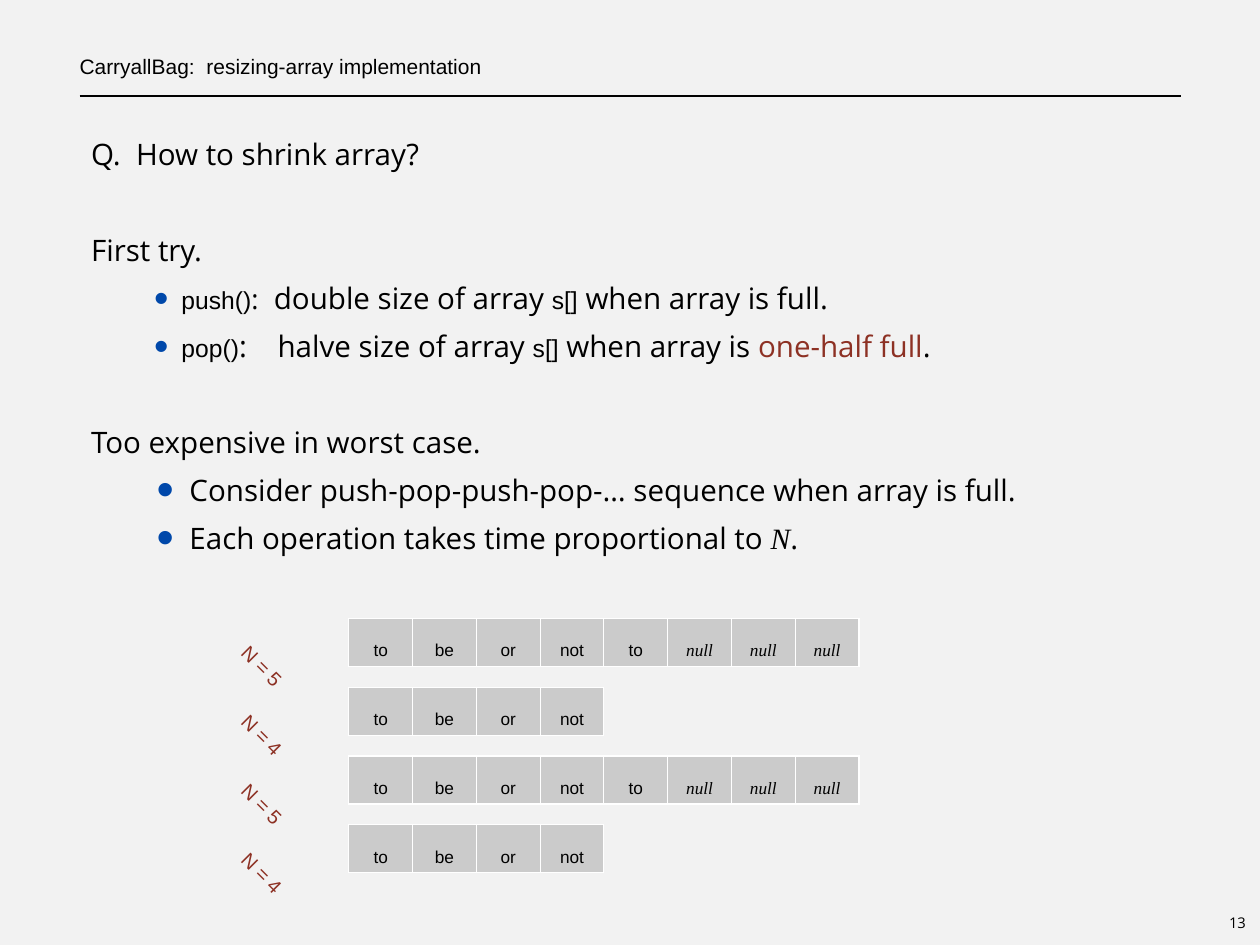
from dataclasses import dataclass

from lxml import etree
from pptx import Presentation
from pptx.dml.color import RGBColor
from pptx.enum.shapes import MSO_CONNECTOR
from pptx.enum.text import MSO_ANCHOR, PP_ALIGN
from pptx.oxml.ns import qn
from pptx.util import Inches, Pt

LEFT, CENTER = PP_ALIGN.LEFT, PP_ALIGN.CENTER
TOP, MIDDLE, BOTTOM = MSO_ANCHOR.TOP, MSO_ANCHOR.MIDDLE, MSO_ANCHOR.BOTTOM
STRAIGHT = MSO_CONNECTOR.STRAIGHT

WIDTH, HEIGHT = 14.22, 10.67
COLUMNS, ROWS = 16, 12


@dataclass(frozen=True)
class Theme:
    background: str = "F2F2F2"
    ink: str = "000000"
    accent: str = "8D3124"
    bullet: str = "0048AA"
    cell: str = "CBCBCB"
    border: str = "FFFFFF"
    sans: str = "Open Sans"
    plain: str = "Arial"
    serif: str = "Times New Roman"
    body_line: int = 39
    cell_line: int = 30


THEME = Theme()

# style name: font, size, colour, italic
STYLES = {
    "title": (THEME.plain, 17, THEME.ink, False),
    "body": (THEME.sans, 24, THEME.ink, False),
    "colon": (THEME.sans, 22, THEME.ink, False),
    "code": (THEME.plain, 20, THEME.ink, False),
    "stress": (THEME.sans, 24, THEME.accent, False),
    "math": (THEME.serif, 24, THEME.ink, True),
    "word": (THEME.plain, 14, THEME.ink, False),
    "null": (THEME.serif, 14, THEME.ink, True),
    "count": (THEME.plain, 16, THEME.accent, False),
    "page": (THEME.sans, 12, THEME.ink, False),
}

# paragraph kind: left margin and first-line indent in inches
INDENTS = {"text": (0, 0.14), "call": (1.16, -0.31), "point": (1.25, -0.37)}

# kind, blank line before, runs of (text, style, extra letter spacing)
BODY = [
    ("text", False, [("Q.", "body"), (" ", "body", 6.2),
                     ("How to shrink array?", "body")]),
    ("text", True, [("First try.", "body")]),
    ("call", False, [("push()", "code"), (":", "colon"), (" ", "body", 6.2),
                     ("double size of array ", "body"), ("s[]", "code"),
                     (" when array is full.", "body")]),
    ("call", False, [("pop()", "code"), (":", "body"), (" ", "body", 18.7),
                     ("halve size of array ", "body"), ("s[]", "code"),
                     (" when array is ", "body"), ("one-half full", "stress"),
                     (".", "body")]),
    ("text", True, [("Too expensive in worst case.", "body")]),
    ("point", False, [("Consider push-pop-push-pop-… sequence when array is full.",
                       "body")]),
    ("point", False, [("Each operation takes time proportional to ", "body"),
                      ("N", "math"), (".", "body")]),
]

SMALL_ARRAY = ["to", "be", "or", "not"]
LARGE_ARRAY = SMALL_ARRAY + ["to"] + ["null"] * 3
STATES = [(5, LARGE_ARRAY), (4, SMALL_ARRAY)] * 2


def col(n):
    return Inches(WIDTH * n / COLUMNS)


def row(n):
    return Inches(HEIGHT * n / ROWS)


def box(x, y, w, h):
    return col(x), row(y), col(w), row(h)


def rgb(value):
    return RGBColor.from_string(value)


def add_run(p, text, style, spacing=0):
    """Add a styled run; spacing is extra letter spacing in points."""
    r = p.add_run()
    r.text = text
    name, size, color, italic = STYLES[style]
    for key, value in {"name": name, "size": Pt(size), "italic": italic}.items():
        setattr(r.font, key, value)
    r.font.color.rgb = rgb(color)
    if spacing:
        r._r.get_or_add_rPr().set("spc", str(round(spacing * 100)))


def add_text(s, area, anchor=TOP, wrap=True):
    """Add an empty text box without margins and return it."""
    sp = s.shapes.add_textbox(*area)
    formats = {"margin_left": 0, "margin_right": 0, "margin_top": 0,
               "margin_bottom": 0, "vertical_anchor": anchor, "word_wrap": wrap}
    for key, value in formats.items():
        setattr(sp.text_frame, key, value)
    return sp


def add_label(s, area, runs, align=LEFT, anchor=MIDDLE, wrap=False, line=1.0):
    sp = add_text(s, area, anchor, wrap)
    p = sp.text_frame.paragraphs[0]
    p.alignment = align
    p.line_spacing = line
    for run in runs:
        add_run(p, *run)
    return sp


def indent(p, kind):
    """Set the indents of a paragraph, and its dot unless it is plain text."""
    pPr = p._p.get_or_add_pPr()
    for key, value in zip(("marL", "indent"), INDENTS[kind]):
        pPr.set(key, str(Inches(value)))
    if kind == "text":
        etree.SubElement(pPr, qn("a:buNone"))
        return
    p.level = 1
    color = etree.SubElement(pPr, qn("a:buClr"))
    etree.SubElement(color, qn("a:srgbClr"), val=THEME.bullet)
    etree.SubElement(pPr, qn("a:buSzPct"), val="167000")
    etree.SubElement(pPr, qn("a:buFont"), typeface=THEME.plain)
    etree.SubElement(pPr, qn("a:buChar"), char="•")


def add_body(s):
    tf = add_text(s, box(1, 1.57, 14, 10)).text_frame
    for i, (kind, blank_before, runs) in enumerate(BODY):
        p = tf.add_paragraph() if i else tf.paragraphs[0]
        indent(p, kind)
        p.line_spacing = Pt(THEME.body_line)
        p.space_before = Pt(THEME.body_line if blank_before else 0)
        for run in runs:
            add_run(p, *run)


def add_rule(s):
    line = s.shapes.add_connector(STRAIGHT, col(1.01), row(1.22), col(15), row(1.22))
    line.line.color.rgb = rgb(THEME.ink)
    line.line.width = Pt(1)
    etree.SubElement(line._element.spPr, qn("a:effectLst"))


def add_borders(cell):
    tcPr = cell._tc.get_or_add_tcPr()
    for i, side in enumerate(("lnL", "lnR", "lnB")):
        ln = etree.Element(qn(f"a:{side}"), w=str(Pt(1)))
        fill = etree.SubElement(ln, qn("a:solidFill"))
        etree.SubElement(fill, qn("a:srgbClr"), val=THEME.border)
        tcPr.insert(i, ln)


def add_array(s, x, y, items, cell_w=0.81, cell_h=0.61):
    area = box(x, y, cell_w * len(items), cell_h)
    table = s.shapes.add_table(1, len(items), *area).table
    table.first_row = table.horz_banding = False
    margins = {f"margin_{side}": Inches(0.06)
               for side in ("left", "right", "top", "bottom")}
    for column, cell, item in zip(table.columns, table.rows[0].cells, items):
        column.width = col(cell_w)
        for key, value in {**margins, "vertical_anchor": MIDDLE}.items():
            setattr(cell, key, value)
        cell.fill.solid()
        cell.fill.fore_color.rgb = rgb(THEME.cell)
        add_borders(cell)
        p = cell.text_frame.paragraphs[0]
        p.alignment = CENTER
        p.line_spacing = Pt(THEME.cell_line)
        add_run(p, item, "null" if item == "null" else "word")


def add_state(s, y, count, items):
    """Add one array with its slanted element count."""
    add_array(s, 4.43, y, items)
    label = add_label(s, box(2.83, y + 0.36, 1, 0.5),
                      [(f"N = {count}", "count")], CENTER)
    label.rotation = 45


def main():
    prs = Presentation()
    prs.slide_width, prs.slide_height = Inches(WIDTH), Inches(HEIGHT)
    s = prs.slides.add_slide(prs.slide_layouts[6])
    s.background.fill.solid()
    s.background.fill.fore_color.rgb = rgb(THEME.background)

    add_rule(s)
    title = [("CarryallBag:", "title"), (" ", "title", 4.7),
             ("resizing-array implementation", "title")]
    add_label(s, box(1.01, 0, 14, 1), title, anchor=BOTTOM, wrap=True, line=1.3)
    add_body(s)
    add_label(s, box(15.54, 11.54, 0.35, 0.35), [("13", "page")], CENTER)
    for i, (count, items) in enumerate(STATES):
        add_state(s, 7.85 + i * 7 / 8, count, items)
    prs.save("out.pptx")


if __name__ == "__main__":
    main()
